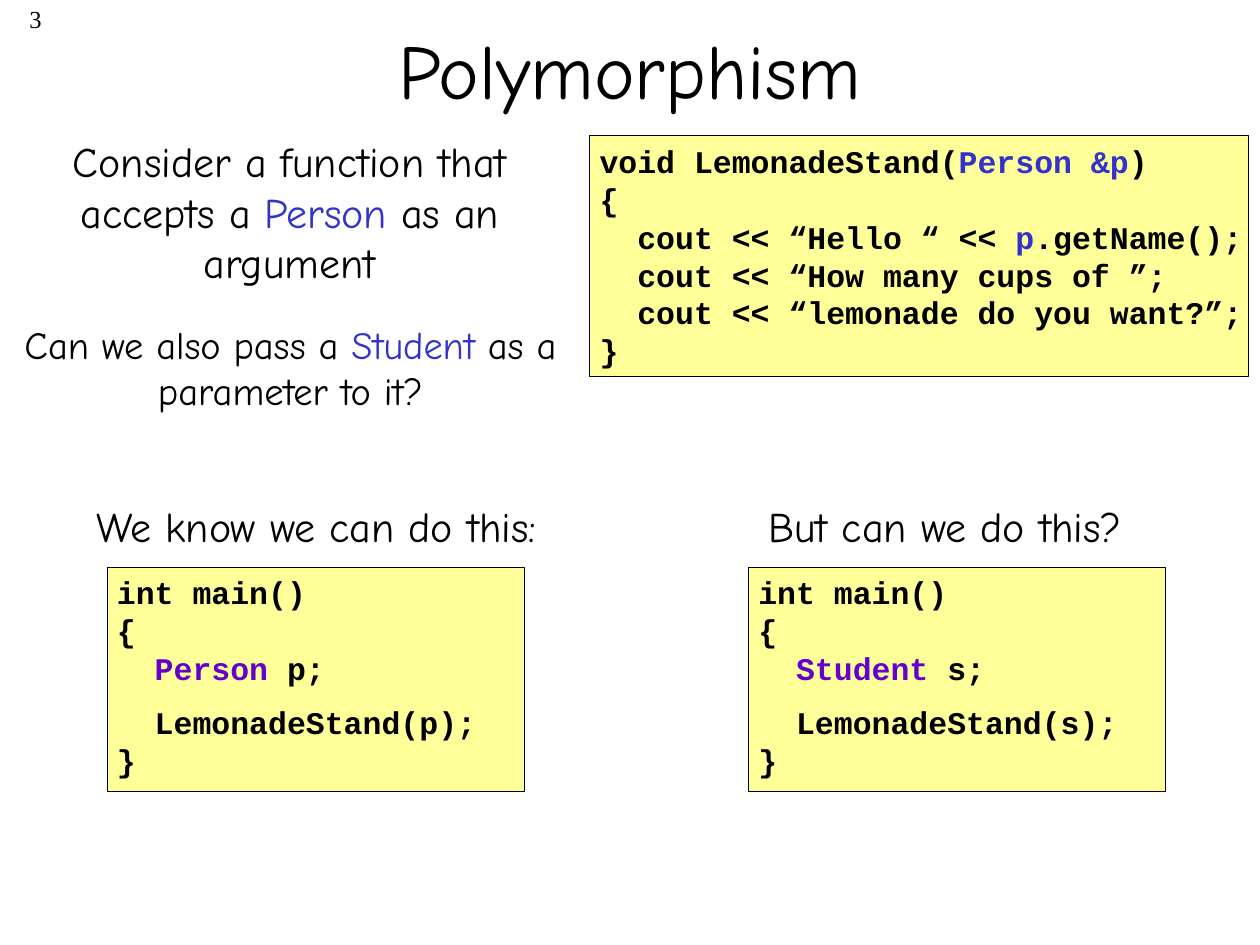
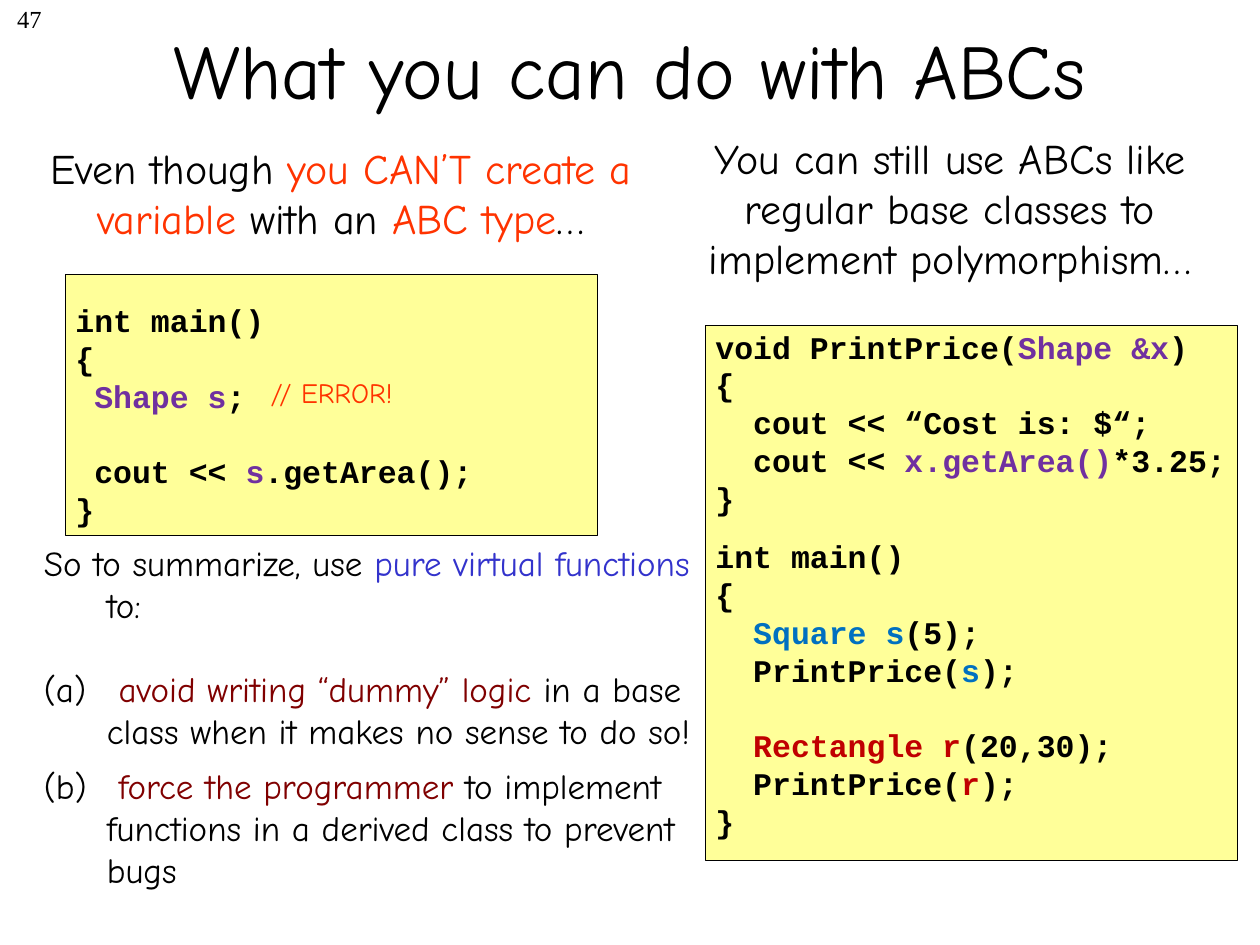
from pptx import Presentation
from pptx.dml.color import RGBColor
from pptx.enum.shapes import MSO_SHAPE as Shape
from pptx.enum.text import MSO_ANCHOR as Anchor, PP_ALIGN as Align
from pptx.oxml.ns import qn
from pptx.util import Pt
from lxml.etree import SubElement as Sub

PX = 9144
LEAD = 1.2
HAND, MONO, SERIF = "Comic Neue", "Courier New", "Times New Roman"
BLACK, PAPER = "000000", "FFFF99"
BLUE, VIOLET, PURPLE = "3333CC", "6600CC", "7030A0"
ORANGE, MAROON, SKY, RED = "FF3300", "800000", "0070C0", "C00000"


def tint(code):
    return RGBColor.from_string(code)


def emu(box):
    return [n * PX for n in box]


def fill_runs(para, text, hue, size, font, bold):
    for i, part in enumerate(text.split("|")):
        if part:
            run = para.add_run()
            run.text = part
            run.font.size = Pt(size)
            run.font.name = font
            run.font.bold = bold
            run.font.color.rgb = tint(hue if i % 2 else BLACK)


def write(slide, box, lines, size=24, font=HAND, bold=False,
          align=Align.LEFT, anchor=Anchor.TOP):
    frame = slide.shapes.add_textbox(*emu(box)).text_frame
    frame.word_wrap = True
    frame.vertical_anchor = anchor
    for i, (text, hue, gap) in enumerate(lines):
        para = frame.paragraphs[0] if i == 0 else frame.add_paragraph()
        para.alignment = align
        para.line_spacing = Pt(size * LEAD)
        para.space_before = Pt(gap * LEAD)
        fill_runs(para, text, hue, size, font, bold)
    return frame.paragraphs


def line(text, hue=BLACK, gap=0):
    return text, hue, gap


def note(slide, box, text, hue=BLACK, size=24, align=Align.CENTER):
    write(slide, box, [line(text, hue)], size, align=align)


def panel(slide, box, inset, lines):
    rect = slide.shapes.add_shape(Shape.RECTANGLE, *emu(box))
    rect.shadow.inherit = False
    rect.fill.solid()
    rect.fill.fore_color.rgb = tint(PAPER)
    rect.line.color.rgb = tint(BLACK)
    rect.line.width = Pt(0.25)
    left, top, width, height = box
    area = left - 2, top + inset, width + 12, height - inset
    write(slide, area, lines, 18, MONO, True)


def hang(para, mark=False):
    props = para._p.get_or_add_pPr()
    props.set("marL", str(50 * PX))
    props.set("indent", str(-50 * PX))
    if mark:
        Sub(props, qn("a:buAutoNum"), type="alphaLcParenBoth")


def start(deck, number, title):
    slide = deck.slides.add_slide(deck.slide_layouts[6])
    write(slide, (0, -2, 43, 50), [line(number)], 14, SERIF, align=Align.RIGHT)
    write(slide, (75, -8, 850, 125), [line(title)], 44,
          align=Align.CENTER, anchor=Anchor.MIDDLE)
    return slide


def trial(slide, left, head, shift, kind, name):
    note(slide, (left + shift, 392, 399, 50), head, align=Align.LEFT)
    panel(slide, (left, 450, 331, 178), 0, [
        line("int main()"),
        line("{"),
        line(f"  |{kind}| {name};", VIOLET),
        line(f"  LemonadeStand({name});", gap=8),
        line("}"),
    ])


def poly(deck):
    slide = start(deck, "3", "Polymorphism")
    note(slide, (0, 103, 460, 130),
         "Consider a function that accepts a |Person| as an argument", BLUE)
    panel(slide, (468, 107, 523, 192), 1, [
        line("void LemonadeStand(|Person &p|)", BLUE),
        line("{"),
        line("  cout << “Hello “ << |p|.getName();", BLUE),
        line("  cout << “How many cups of ”;"),
        line("  cout << “lemonade do you want?”;"),
        line("}"),
    ])
    note(slide, (0, 250, 461, 83),
         "Can we also pass a |Student| as a parameter to it?", BLUE, 22)
    trial(slide, 85, "We know we can do this:", -18, "Person", "p")
    trial(slide, 594, "But can we do this?", 6, "Student", "s")


def abstract(deck):
    slide = start(deck, "47", "What you can do with ABCs")
    note(slide, (17, 108, 507, 91),
         "Even though |you CAN’T create a variable| with an |ABC type|…", ORANGE)
    panel(slide, (52, 218, 422, 207), 16, [
        line("int main()"),
        line("{"),
        line(" |Shape s|;", PURPLE),
        line(" cout << |s|.getArea();", PURPLE, 18),
        line("}"),
    ])
    note(slide, (205, 293, 129, 37), "|// ERROR!|", ORANGE, 16, Align.LEFT)
    note(slide, (508, 100, 492, 130),
         "You can still use ABCs like regular base classes "
         "to implement polymorphism…")
    panel(slide, (560, 258, 422, 425), -3, [
        line("void PrintPrice(|Shape &x|)", PURPLE),
        line("{"),
        line("  cout << “Cost is: $“;"),
        line("  cout << |x.getArea()|*3.25;", PURPLE),
        line("}"),
        line("int main()", gap=10),
        line("{"),
        line("  |Square s|(5);", SKY),
        line("  PrintPrice(|s|);", SKY),
        line("  |Rectangle r|(20,30);", RED, 18),
        line("  PrintPrice(|r|);", RED),
        line("}"),
    ])
    points = write(slide, (25, 425, 540, 325), [
        line("So to summarize, use |pure virtual functions| to:", BLUE),
        line(" |avoid writing “dummy” logic| in a base class "
             "when it makes no sense to do so!", MAROON, 20),
        line(" |force the programmer| to implement functions "
             "in a derived class to prevent bugs", MAROON, 6),
    ], 20)
    for i, para in enumerate(points):
        hang(para, i > 0)


def main():
    deck = Presentation()
    deck.slide_width, deck.slide_height = emu((1000, 750))
    poly(deck)
    abstract(deck)
    deck.save("out.pptx")


if __name__ == "__main__":
    main()
